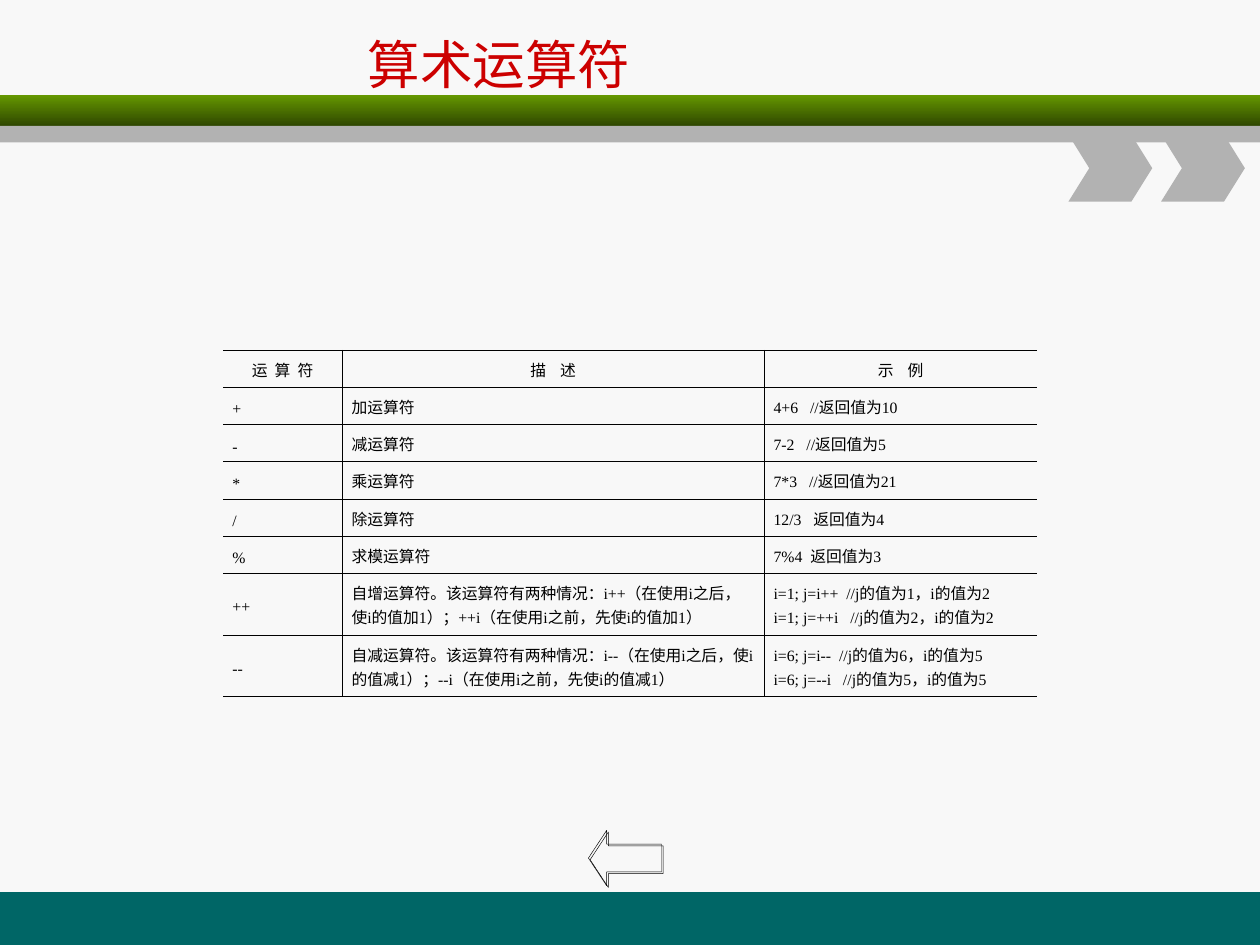
import lxml.etree
import pptx
import pptx.dml.color
import pptx.enum.shapes
import pptx.enum.text
import pptx.oxml
import pptx.oxml.ns
import pptx.util

SHAPE = pptx.enum.shapes.MSO_SHAPE
ALIGN = pptx.enum.text.PP_ALIGN
MIDDLE = pptx.enum.text.MSO_ANCHOR.MIDDLE
NS = 'xmlns:a="http://schemas.openxmlformats.org/drawingml/2006/main"'

ROWS = [
    ("运  算  符", "描    述", "示    例"),
    ("+", "加运算符", "4+6   //返回值为10"),
    ("-", "减运算符", "7-2   //返回值为5"),
    ("*", "乘运算符", "7*3   //返回值为21"),
    ("/", "除运算符", "12/3   返回值为4"),
    ("%", "求模运算符", "7%4  返回值为3"),
    ("++", "自增运算符。该运算符有两种情况：i++（在使用i之后，使i的值加1）；++i（在使用i之前，先使i的值加1）",
     "i=1; j=i++  //j的值为1，i的值为2\ni=1; j=++i   //j的值为2，i的值为2"),
    ("--", "自减运算符。该运算符有两种情况：i--（在使用i之后，使i的值减1）；--i（在使用i之前，先使i的值减1）",
     "i=6; j=i--  //j的值为6，i的值为5\ni=6; j=--i   //j的值为5，i的值为5"),
]


def rgb(code):
    return pptx.dml.color.RGBColor.from_string(code)


def grid(*cells):
    """Turn steps of a 100 by 75 grid into lengths."""
    return [pptx.util.Inches(cell / 10) for cell in cells]


class Deck:
    """Holds the style and the current slide."""
    ink, red, green, dark = "000000", "CC0000", "669900", "2F4700"
    teal, gray, paper = "006666", "B2B2B2", "F8F8F8"
    head, body, large = "Arial", "Times New Roman", "DejaVu Sans"

    def __init__(self):
        self.file = pptx.Presentation()
        self.file.slide_width, self.file.slide_height = grid(100, 75)
        self.slide = self.file.slides.add_slide(self.file.slide_layouts[5])
        self.slide.background.fill.solid()
        self.slide.background.fill.fore_color.rgb = rgb(self.paper)

    def font(self, para, name, size, color):
        for run in para.runs:
            run.font.name = name
            run.font.size = pptx.util.Pt(size)
            run.font.color.rgb = rgb(color)

    def title(self, text, *box):
        shape = self.slide.shapes.title
        shape.left, shape.top, shape.width, shape.height = grid(*box)
        frame = shape.text_frame
        frame.text = text
        frame.vertical_anchor = MIDDLE
        frame.auto_size = pptx.enum.text.MSO_AUTO_SIZE.NONE
        frame.paragraphs[0].alignment = ALIGN.LEFT
        self.font(frame.paragraphs[0], self.large, 30, self.red)

    def paint(self, shape, color):
        shape.shadow.inherit = False
        shape.line.fill.background()
        shape.fill.solid()
        shape.fill.fore_color.rgb = rgb(color)

    def band(self, top, height, color, end=None):
        """Draw a full-width bar, shaded down to the end colour if given."""
        bar = self.slide.shapes.add_shape(SHAPE.RECTANGLE, *grid(0, top, 100, height))
        self.paint(bar, color)
        if end:
            bar.fill.gradient()
            bar.fill.gradient_angle = 270
            for stop, code, place in zip(bar.fill.gradient_stops, (color, end), (0, 1)):
                stop.color.rgb = rgb(code)
                stop.position = place

    def chevron(self, left, top):
        steps = [(0, 0), (5, 0), (6.65, 2.65), (5, 5.3), (0, 5.3), (1.65, 2.65)]
        points = [grid(left + x, top + y) for x, y in steps]
        draft = self.slide.shapes.build_freeform(*points[0])
        draft.add_line_segments(points[1:], close=True)
        self.paint(draft.convert_to_shape(), self.gray)

    def arrow(self, *box):
        shape = self.slide.shapes.add_shape(SHAPE.LEFT_ARROW, *grid(*box))
        shape.adjustments[1] = 0.33
        shape.fill.background()
        shape.line.color.rgb = rgb(self.ink)
        shape.line.width = pptx.util.Pt(0.25)
        shape.shadow.inherit = False
        effects = shape.fill._xPr.find(pptx.oxml.ns.qn("a:effectLst"))
        effects.append(pptx.oxml.parse_xml(
            f'<a:outerShdw {NS} dist="17780" dir="2700000" algn="ctr" rotWithShape="0">'
            f'<a:srgbClr val="{self.ink}"/></a:outerShdw>'))

    def edges(self, cell, sides):
        """Rule the given sides of a cell and clear the others."""
        props = cell._tc.get_or_add_tcPr()
        for side in "LRTB":
            fill = (f'<a:solidFill><a:srgbClr val="{self.ink}"/></a:solidFill>'
                    if side in sides else "<a:noFill/>")
            props.append(pptx.oxml.parse_xml(f'<a:ln{side} {NS} w="5715">{fill}</a:ln{side}>'))

    def table(self, rows, box, widths, heights):
        table = self.slide.shapes.add_table(len(rows), len(widths), *grid(*box)).table
        for column, width in zip(table.columns, grid(*widths)):
            column.width = width
        for row, height in zip(table.rows, grid(*heights)):
            row.height = height
        for r, texts in enumerate(rows):
            for c, text in enumerate(texts):
                cell = table.cell(r, c)
                self.edges(cell, ("RTB", "LRTB", "LTB")[c])
                cell.fill.background()
                cell.vertical_anchor = MIDDLE
                cell.margin_left, cell.margin_right = grid(0.75, 0.75)
                cell.text_frame.text = text
                for para in cell.text_frame.paragraphs:
                    para.alignment = ALIGN.LEFT if r else ALIGN.CENTER
                    para.line_spacing = pptx.util.Pt(14)
                    self.font(para, self.body if r else self.head, 9, self.ink)
                    for run in para.runs:
                        run.font.bold = False


def main():
    deck = Deck()
    deck.band(70.8, 4.2, deck.teal)
    deck.band(7.5, 2.5, deck.green, deck.dark)
    deck.band(10, 1.3, deck.gray)
    for left in (84.8, 92.15):
        deck.chevron(left, 10.7)
    deck.arrow(46.7, 65.9, 5.8, 4.4)
    deck.title("算术运算符", 28.2, 1.7, 44.6, 6.7)
    deck.table(ROWS, (17.7, 27.8, 64.6, 19.4), (9.45, 33.5, 21.65),
               [1.94] * 6 + [3.88] * 2)
    deck.file.save("out.pptx")


if __name__ == "__main__":
    main()
